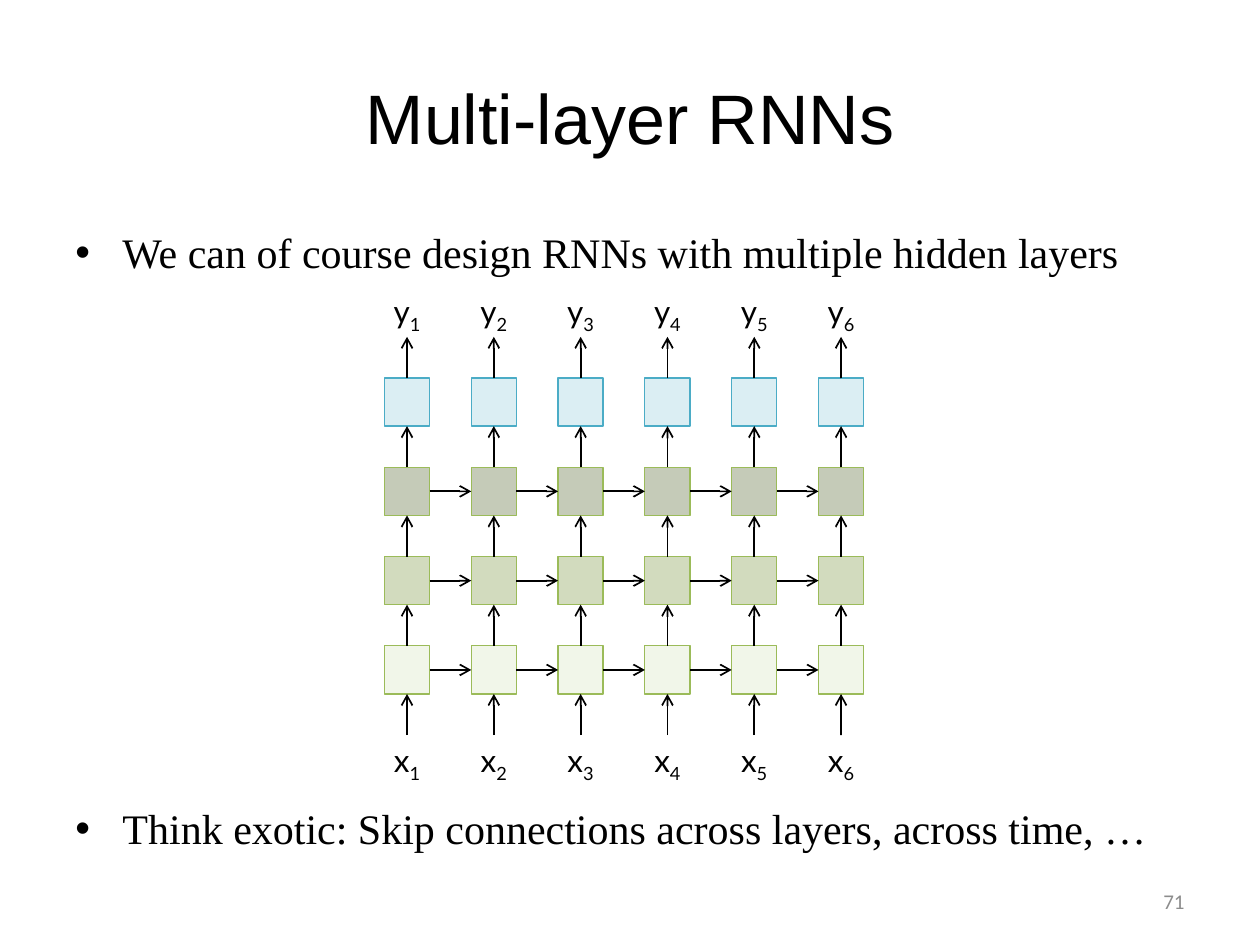
"""Build the slide on multi-layer recurrent networks."""
from dataclasses import dataclass

from lxml import etree
from pptx import Presentation
from pptx.dml.color import RGBColor
from pptx.enum.shapes import MSO_CONNECTOR, MSO_SHAPE
from pptx.enum.text import MSO_ANCHOR, PP_ALIGN
from pptx.oxml.ns import qn
from pptx.shapes.autoshape import Shape
from pptx.shapes.connector import Connector
from pptx.slide import Slide
from pptx.text.text import TextFrame, _Paragraph
from pptx.util import Cm, Pt

RECTANGLE = MSO_SHAPE.RECTANGLE
STRAIGHT = MSO_CONNECTOR.STRAIGHT
MIDDLE = MSO_ANCHOR.MIDDLE
CENTER, RIGHT = PP_ALIGN.CENTER, PP_ALIGN.RIGHT
TOP_SIDE, LEFT_SIDE, BOTTOM_SIDE, RIGHT_SIDE = range(4)


@dataclass(frozen=True)
class TextStyle:
    """Font, size in points and colour of a kind of text."""
    font: str
    size: float
    color: str = "000000"


@dataclass(frozen=True)
class Theme:
    """Colours and type sizes of the slide."""
    title: TextStyle = TextStyle("Arial", 40)
    bullet: TextStyle = TextStyle("Times New Roman", 24)
    symbol: TextStyle = TextStyle("Lato", 18)
    page: TextStyle = TextStyle("Calibri", 12, "8C8C8C")
    arrow: str = "000000"
    arrow_width: float = 1
    cell_width: float = 0.75
    cell_alpha: int = 33


@dataclass(frozen=True)
class Layer:
    """Fill and outline colours of one network layer."""
    fill: str
    outline: str


@dataclass(frozen=True)
class Grid:
    """Positions of the network in centimetres."""
    left: float = 7.75
    top: float = 7.62
    step_x: float = 1.75
    step_y: float = 1.8
    width: float = 0.91
    height: float = 0.97
    label_width: float = 1.12
    label_height: float = 1.02
    output_label_top: float = 5.77
    input_label_top: float = 14.81

    def center(self, step: int) -> float:
        """Return the horizontal middle of a time step."""
        return self.left + step * self.step_x + self.width / 2


@dataclass(frozen=True)
class Bullet:
    """A bulleted statement, with its place in centimetres."""
    text: str
    top: float
    width: float


THEME = Theme()
GRID = Grid()
STEPS = 6
LAYERS = (
    Layer("93CDDD", "4BACC6"),
    Layer("4F6228", "9BBB59"),
    Layer("77933C", "9BBB59"),
    Layer("D7E4BD", "9BBB59"),
)
BULLETS = (
    Bullet("We can of course design RNNs with multiple hidden layers", 4.45, 22.86),
    Bullet("Think exotic: Skip connections across layers, across time, …", 16.05, 24.13),
)


def add_run(paragraph: _Paragraph, text: str, style: TextStyle, baseline: int = 0) -> None:
    """Add one styled run, lowered by a negative baseline percentage."""
    run = paragraph.add_run()
    run.text = text
    run.font.name = style.font
    run.font.size = Pt(style.size)
    run.font.color.rgb = RGBColor.from_string(style.color)
    if baseline:
        run.font._element.set("baseline", str(baseline * 1000))


def add_frame(slide: Slide, left: float, top: float, width: float, height: float) -> TextFrame:
    """Add a wrapping text box and return its text frame."""
    frame = slide.shapes.add_textbox(Cm(left), Cm(top), Cm(width), Cm(height)).text_frame
    frame.word_wrap = True
    return frame


def add_title(slide: Slide, text: str) -> None:
    """Place and fill the title."""
    title = slide.shapes.title
    title.left, title.top, title.width, title.height = Cm(1.27), Cm(0.76), Cm(22.86), Cm(3.18)
    title.text_frame.vertical_anchor = MIDDLE
    paragraph = title.text_frame.paragraphs[0]
    paragraph.alignment = CENTER
    add_run(paragraph, text, THEME.title)


def add_bullet(slide: Slide, bullet: Bullet) -> None:
    """Add a bulleted statement with a hanging indent."""
    paragraph = add_frame(slide, 1.27, bullet.top, bullet.width, 1.6).paragraphs[0]
    properties = paragraph._p.get_or_add_pPr()
    properties.set("marL", str(Cm(0.95)))
    properties.set("indent", str(-Cm(0.95)))
    etree.SubElement(properties, qn("a:buFont")).set("typeface", "Arial")
    etree.SubElement(properties, qn("a:buChar")).set("char", "•")
    add_run(paragraph, bullet.text, THEME.bullet)


def add_page_number(slide: Slide, number: str) -> None:
    """Add the page number at the lower right."""
    frame = add_frame(slide, 18.21, 17.65, 5.92, 1.02)
    frame.vertical_anchor = MIDDLE
    frame.paragraphs[0].alignment = RIGHT
    add_run(frame.paragraphs[0], number, THEME.page)


def add_symbol(slide: Slide, letter: str, step: int, top: float) -> None:
    """Add a letter with its time step as subscript."""
    left = GRID.center(step) - GRID.label_width / 2
    frame = add_frame(slide, left, top, GRID.label_width, GRID.label_height)
    frame.word_wrap = False
    paragraph = frame.paragraphs[0]
    paragraph.alignment = CENTER
    add_run(paragraph, letter, THEME.symbol)
    add_run(paragraph, str(step + 1), THEME.symbol, -25)


def add_cell(slide: Slide, layer: Layer, row: int, step: int) -> Shape:
    """Add one translucent cell of a layer."""
    cell = slide.shapes.add_shape(
        RECTANGLE, Cm(GRID.left + step * GRID.step_x), Cm(GRID.top + row * GRID.step_y),
        Cm(GRID.width), Cm(GRID.height))
    cell.shadow.inherit = False
    cell.fill.solid()
    cell.fill.fore_color.rgb = RGBColor.from_string(layer.fill)
    color = cell._element.spPr.find(qn("a:solidFill"))[0]
    etree.SubElement(color, qn("a:alpha")).set("val", str(THEME.cell_alpha * 1000))
    cell.line.color.rgb = RGBColor.from_string(layer.outline)
    cell.line.width = Pt(THEME.cell_width)
    return cell


def add_arrow(slide: Slide, x: float, start_y: float, end_y: float) -> Connector:
    """Add an arrow along a vertical line."""
    arrow = slide.shapes.add_connector(STRAIGHT, Cm(x), Cm(start_y), Cm(x), Cm(end_y))
    arrow.line.color.rgb = RGBColor.from_string(THEME.arrow)
    arrow.line.width = Pt(THEME.arrow_width)
    etree.SubElement(arrow.line._get_or_add_ln(), qn("a:tailEnd")).set("type", "arrow")
    etree.SubElement(arrow._element.spPr, qn("a:effectLst"))
    return arrow


def join(slide: Slide, source: Shape, source_side: int, target: Shape, target_side: int) -> None:
    """Connect two cells with an arrow."""
    arrow = add_arrow(slide, 0, 0, 0)
    arrow.begin_connect(source, source_side)
    arrow.end_connect(target, target_side)


def add_network(slide: Slide) -> None:
    """Draw the layers, their connections, and the inputs and outputs."""
    rows = [[add_cell(slide, layer, row, step) for step in range(STEPS)]
            for row, layer in enumerate(LAYERS)]
    for upper, lower in zip(rows, rows[1:]):
        for target, source in zip(upper, lower):
            join(slide, source, TOP_SIDE, target, BOTTOM_SIDE)
        for source, target in zip(lower, lower[1:]):
            join(slide, source, RIGHT_SIDE, target, LEFT_SIDE)
    bottom = GRID.top + (len(LAYERS) - 1) * GRID.step_y + GRID.height
    gap = GRID.step_y - GRID.height
    for step, (output_cell, input_cell) in enumerate(zip(rows[0], rows[-1])):
        x = GRID.center(step)
        add_arrow(slide, x, GRID.top, GRID.top - gap).begin_connect(output_cell, TOP_SIDE)
        add_arrow(slide, x, bottom + gap, bottom).end_connect(input_cell, BOTTOM_SIDE)
        add_symbol(slide, "y", step, GRID.output_label_top)
        add_symbol(slide, "x", step, GRID.input_label_top)


def main() -> None:
    """Build and save the presentation."""
    presentation = Presentation()
    presentation.slide_width, presentation.slide_height = Cm(25.4), Cm(19.05)
    slide = presentation.slides.add_slide(presentation.slide_layouts.get_by_name("Title Only"))
    add_title(slide, "Multi-layer RNNs")
    for bullet in BULLETS:
        add_bullet(slide, bullet)
    add_network(slide)
    add_page_number(slide, "71")
    presentation.save("out.pptx")


if __name__ == "__main__":
    main()
